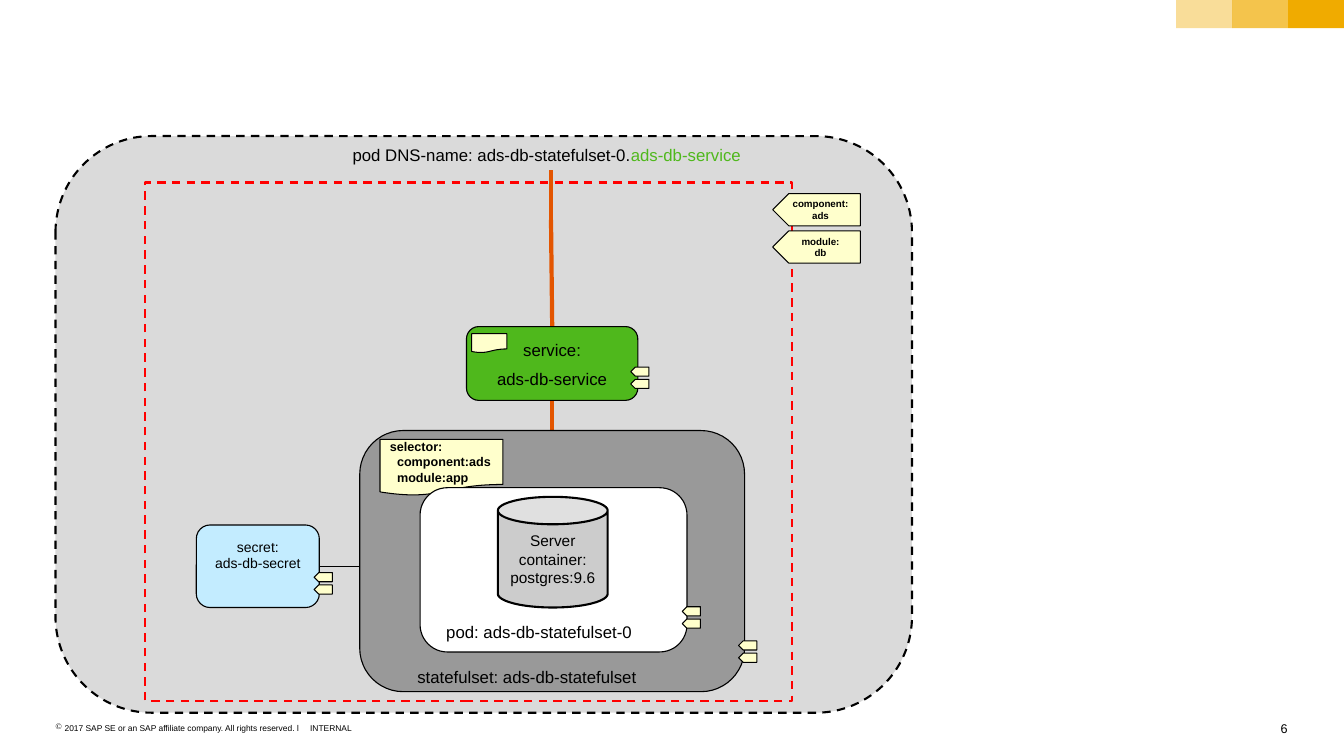
import pptx
import pptx.util
import pptx.dml.color
import pptx.enum.dml
import pptx.enum.shapes
import pptx.enum.text
from lxml import etree

Cm, Pt = pptx.util.Cm, pptx.util.Pt
SHAPES = pptx.enum.shapes.MSO_SHAPE
ALIGN = pptx.enum.text.PP_ALIGN
ANCHOR = pptx.enum.text.MSO_ANCHOR
SOLID, DASH = pptx.enum.dml.MSO_LINE.SOLID, pptx.enum.dml.MSO_LINE.DASH
DRAWING = "{http://schemas.openxmlformats.org/drawingml/2006/main}"

SLIDE_SIZE = (33.88, 19.05)
BLACK, GOLD, ORANGE, GREEN, NOTE = "000000", "F0AB00", "E35500", "4FB81C", "FFFFCC"
BAR_SIZE, BAR_OPACITIES = (1.41, 0.71), (100, 70, 40)
TAG_SIZE, TAG_STEP = (0.46, 0.23), 0.31
LABEL_SIZE, LABEL_STEP = (2.21, 0.81), 0.94

NAMESPACE = ("ROUNDED_RECTANGLE", (1.4, 3.43, 21.59, 14.53), "D9D9D9", 97, BLACK, 1.5, DASH)
CONNECTORS = [
    ((13.89, 4.29), (13.89, 6.38), ORANGE, 3),
    ((13.89, 5.54), (13.92, 8.23), ORANGE, 3),
    ((13.92, 10.11), (13.92, 10.85), ORANGE, 3),
    ((8.05, 14.27), (9.07, 14.27), BLACK, 1),
]
BOUNDARY = ("RECTANGLE", (3.66, 4.6, 16.31, 13.06), None, 100, "FF0000", 1.5, DASH)
LABELS_AT, LABELS = (19.48, 4.88), ["component:\vads", "module:\vdb"]

CENTER_TOP = {"align": ALIGN.CENTER, "anchor": ANCHOR.TOP, "insets": (0.3, 0.23)}
CENTER_MIDDLE = {"align": ALIGN.CENTER, "anchor": ANCHOR.MIDDLE, "insets": (0.25, 0.2)}
LEFT_MIDDLE = {**CENTER_MIDDLE, "align": ALIGN.LEFT}
PLAIN = {"align": ALIGN.LEFT, "anchor": ANCHOR.TOP, "insets": (0, 0)}

BODIES = [
    (("ROUNDED_RECTANGLE", (9.07, 10.85, 9.7, 6.58), "999999", 100, BLACK, 0.79, SOLID), None),
    (("ROUNDED_RECTANGLE", (11.76, 8.23, 4.32, 1.86), GREEN, 100, BLACK, 0.79, SOLID),
     (["service:", "ads-db-service"], 12, {**CENTER_TOP, "gap": 6.5})),
    (("ROUNDED_RECTANGLE", (4.95, 13.23, 3.1, 2.08), "C3ECFF", 100, BLACK, 0.79, SOLID),
     (["secret:\vads-db-secret"], 10, CENTER_TOP)),
    (("FLOWCHART_DOCUMENT", (9.58, 11.07, 3.1, 1.42), NOTE, 100, BLACK, 0.75, SOLID),
     (["selector:", "component:ads", "module:app"], 9, {**LEFT_MIDDLE, "bold": True, "indent": 0.18})),
    (("ROUNDED_RECTANGLE", (10.59, 12.29, 6.73, 4.14), "FFFFFF", 100, BLACK, 0.79, SOLID), None),
    (("CAN", (12.55, 12.52, 2.77, 2.79), "CCCCCC", 100, BLACK, 1.5, SOLID),
     (["Server container:\vpostgres:9.6"], 11, CENTER_MIDDLE)),
    (("FLOWCHART_DOCUMENT", (11.89, 8.41, 0.89, 0.48), NOTE, 100, BLACK, 0.75, SOLID), None),
]
TAG_PAIRS_AT = [(18.62, 16.15), (15.9, 9.25), (7.92, 14.43), (17.2, 15.29)]
CAPTIONS = [
    ((8.89, 3.65, 10.06, 0.51),
     [[("pod DNS-name: ads-db-statefulset-0.", BLACK), ("ads-db-service", GREEN)]], 12, PLAIN),
    ((10.52, 16.81, 7.59, 0.51), ["statefulset: ads-db-statefulset"], 12, PLAIN),
    ((11.25, 15.67, 5.18, 0.51), ["pod: ads-db-statefulset-0"], 12, PLAIN),
    ((1.4, 18.21, 6.3, 0.25),
     ["2017 SAP SE or an SAP affiliate company. All rights reserved. ǀ"], 6, {**PLAIN, "bullet": "©"}),
    ((7.82, 18.21, 1.07, 0.25), ["INTERNAL"], 6, {**PLAIN, "wrap": False}),
    ((32.08, 18.16, 0.38, 0.38), ["6"], 9, {**PLAIN, "align": ALIGN.RIGHT, "wrap": False}),
]


def color(value):
    return pptx.dml.color.RGBColor.from_string(value)


def apply(target, values):
    for name, value in values.items():
        setattr(target, name, value)


def write(shape, paragraphs, size, style):
    frame = shape.text_frame
    side, top = (Cm(inset) for inset in style["insets"])
    apply(frame, {"margin_left": side, "margin_right": side, "margin_top": top, "margin_bottom": top,
                  "word_wrap": style.get("wrap", True), "vertical_anchor": style["anchor"]})
    for index, runs in enumerate(paragraphs):
        paragraph = frame.add_paragraph() if index else frame.paragraphs[0]
        properties = paragraph._p.get_or_add_pPr()
        if "bullet" in style:
            properties.set("marL", str(Cm(0.23)))
            properties.set("indent", str(-Cm(0.23)))
            etree.SubElement(properties, DRAWING + "buChar", char=style["bullet"])
        elif index and "indent" in style:
            properties.set("marL", str(Cm(style["indent"])))
        paragraph.alignment = style["align"]
        if index:
            paragraph.space_before = Pt(style.get("gap", 0))
        for text, shade in [(runs, BLACK)] if isinstance(runs, str) else runs:
            for part_index, part in enumerate(text.split("\v")):
                if part_index:
                    paragraph.add_line_break()
                run = paragraph.add_run()
                run.text = part
                apply(run.font, {"name": "Arial", "size": Pt(size), "bold": style.get("bold", False)})
                run.font.color.rgb = color(shade)


def draw(slide, kind, box, fill, opacity, line, width, dash):
    shape = slide.shapes.add_shape(getattr(SHAPES, kind), *map(Cm, box))
    shape.shadow.inherit = False
    if fill:
        shape.fill.solid()
        shape.fill.fore_color.rgb = color(fill)
        if opacity < 100:
            shade = shape._element.spPr.find(f"{DRAWING}solidFill/{DRAWING}srgbClr")
            etree.SubElement(shade, DRAWING + "alpha", val=str(opacity * 1000))
    else:
        shape.fill.background()
    if line:
        shape.line.color.rgb = color(line)
        apply(shape.line, {"width": Pt(width), "dash_style": dash})
    else:
        shape.line.fill.background()
    return shape


def draw_tag(slide, left, top, size):
    tag = draw(slide, "PENTAGON", (left, top, *size), NOTE, 100, BLACK, 0.75, SOLID)
    tag._element.spPr.find(DRAWING + "xfrm").set("flipH", "1")
    return tag


def connect(slide, start, end, line, width):
    connector = slide.shapes.add_connector(
        pptx.enum.shapes.MSO_CONNECTOR.STRAIGHT, *map(Cm, start + end))
    connector.line.color.rgb = color(line)
    connector.line.width = Pt(width)
    etree.SubElement(connector._element.spPr, DRAWING + "effectLst")


def main():
    presentation = pptx.Presentation()
    apply(presentation, {"slide_width": Cm(SLIDE_SIZE[0]), "slide_height": Cm(SLIDE_SIZE[1])})
    slide = presentation.slides.add_slide(presentation.slide_layouts[6])
    for index, opacity in enumerate(BAR_OPACITIES):
        left = SLIDE_SIZE[0] - BAR_SIZE[0] * (index + 1)
        draw(slide, "RECTANGLE", (left, 0, *BAR_SIZE), GOLD, opacity, None, 0, SOLID)
    draw(slide, *NAMESPACE)
    for connector in CONNECTORS:
        connect(slide, *connector)
    draw(slide, *BOUNDARY)
    for index, label in enumerate(LABELS):
        tag = draw_tag(slide, LABELS_AT[0], LABELS_AT[1] + index * LABEL_STEP, LABEL_SIZE)
        write(tag, [label], 7, {**CENTER_MIDDLE, "bold": True})
    for body, text in BODIES:
        shape = draw(slide, *body)
        if text:
            write(shape, *text)
    for left, top in TAG_PAIRS_AT:
        for index in range(2):
            draw_tag(slide, left, top + index * TAG_STEP, TAG_SIZE)
    for box, *text in CAPTIONS:
        write(slide.shapes.add_textbox(*map(Cm, box)), *text)
    presentation.save("out.pptx")


if __name__ == "__main__":
    main()
